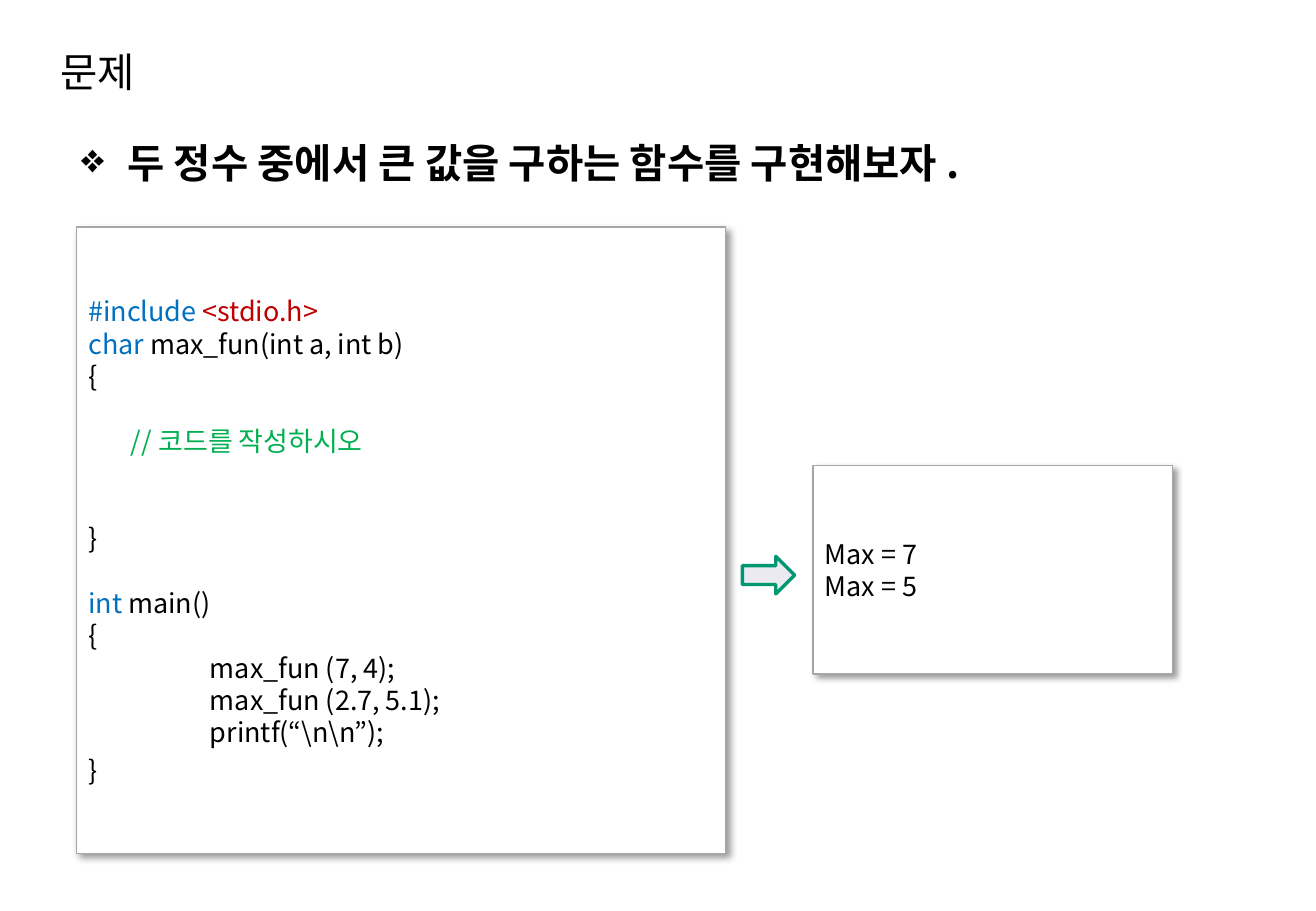
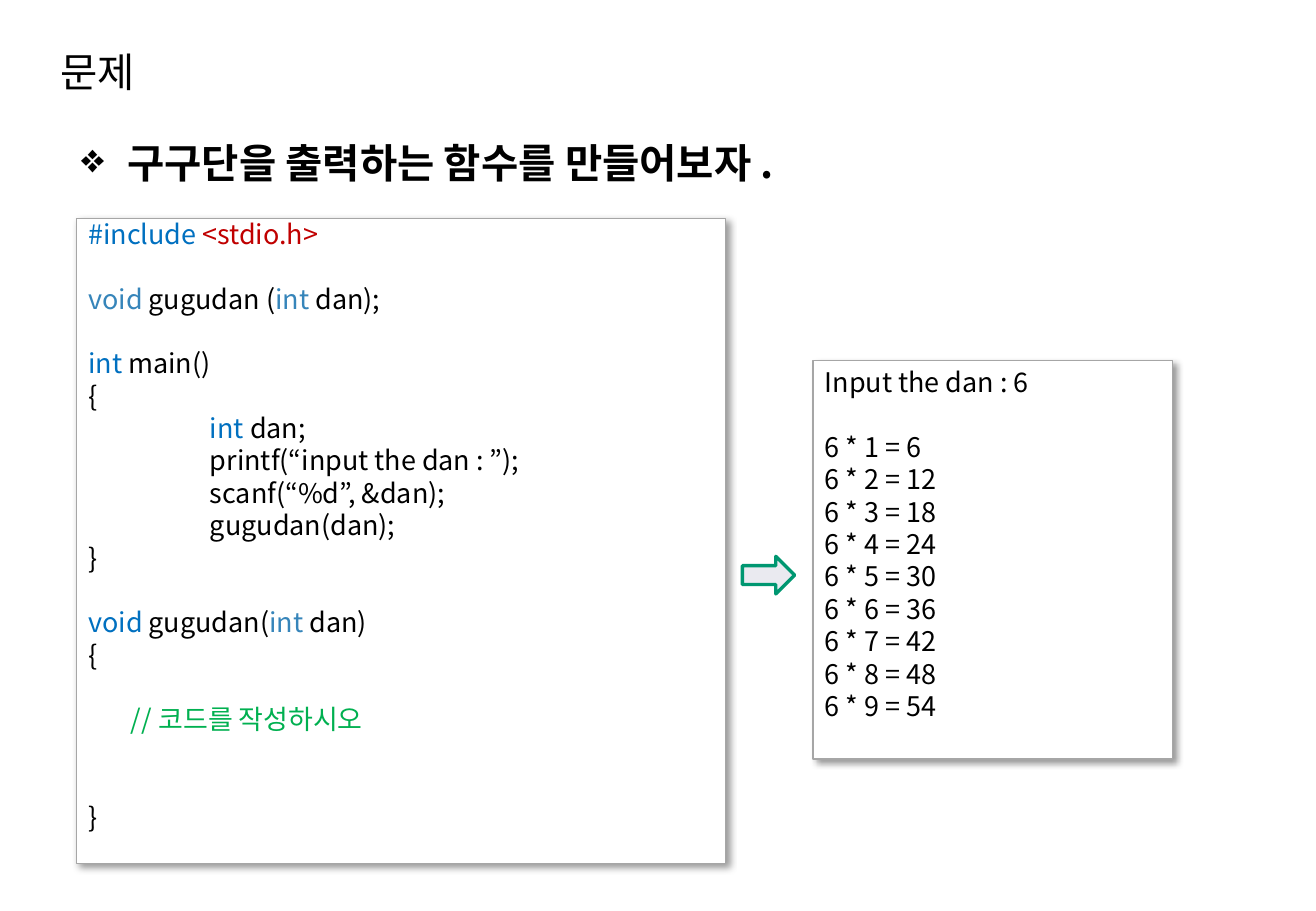
from dataclasses import dataclass
from lxml import etree
from pptx import Presentation, util as u
from pptx.dml.color import RGBColor
from pptx.enum import shapes, text
from pptx.oxml.ns import qn


@dataclass(frozen=True)
class Theme:
    font: str = "Noto Sans CJK KR"
    heading_pt: float = 24
    code_pt: float = 16
    pitch_pt: float = 19.2
    black: str = "000000"
    keyword: str = "0070C0"
    type_name: str = "3685BA"
    header: str = "C00000"
    comment: str = "00B050"
    paper: str = "FFFFFF"
    border: str = "A6A6A6"
    arrow: str = "009771"
    arrow_fill: str = "17175C"


T = Theme()
W, H = 10.83, 7.5
TITLE = "문제"
BULLET = "❖"
CODE_LEFT, CODE_WIDTH = 0.63, 5.34
RESULT_LEFT, RESULT_WIDTH = 6.69, 2.96
INDENT = {"\t": 1.0, ">": 0.35}

INCLUDE = [("#include ", T.keyword), ("<stdio.h>", T.header)]
MAIN = [("int", T.keyword), (" main()", T.black)]
TODO = [(">//코드를 작성하시오", T.comment)]

PROBLEMS = [
    {
        "heading": "두 정수 중에서 큰 값을 구하는 함수를 구현해보자.",
        "code_box": (1.87, 5.16),
        "code": [
            INCLUDE,
            [("char ", T.keyword), ("max_fun(int a, int b)", T.black)],
            "{", "", TODO, "", "", "}", "",
            MAIN,
            "{", "\tmax_fun (7, 4);", "\tmax_fun (2.7, 5.1);", "\tprintf(“\\n\\n”);", "}",
        ],
        "last_gap": 0.2 * T.code_pt,
        "result_box": (3.83, 1.72),
        "result": ["Max = 7", "Max = 5"],
    },
    {
        "heading": "구구단을 출력하는 함수를 만들어보자.",
        "code_box": (1.8, 5.31),
        "code": [
            INCLUDE, "",
            [("void ", T.type_name), ("gugudan (", T.black), ("int ", T.type_name), ("dan);", T.black)],
            "", MAIN, "{",
            [("\tint ", T.keyword), ("dan;", T.black)],
            "\tprintf(“input the dan : ”);", "\tscanf(“%d”, &dan);", "\tgugudan(dan);", "}", "",
            [("void ", T.keyword), ("gugudan(", T.black), ("int ", T.type_name), ("dan)", T.black)],
            "{", "", TODO, "", "", "}", "",
        ],
        "last_gap": 0,
        "result_box": (2.97, 3.28),
        "result": ["Input the dan : 6", ""] + [f"6 * {n} = {6 * n}" for n in range(1, 10)] + [""],
    },
]


def inches(*values):
    return [u.Inches(v) for v in values]


def style(r, size, color=T.black, bold=False):
    r.font.size, r.font.bold, r.font.name = u.Pt(size), bold, T.font
    r.font.color.rgb = RGBColor.from_string(color)
    ea = etree.SubElement(r.font._element, qn("a:ea"))
    ea.set("typeface", T.font)


def add_alpha(fill, percent):
    clr = fill.find(".//" + qn("a:srgbClr"))
    etree.SubElement(clr, qn("a:alpha")).set("val", str(percent * 1000))


def add_shape(s, kind, box, fill, line, width):
    sp = s.shapes.add_shape(kind, *inches(*box))
    sp.shadow.inherit = False
    sp.fill.solid()
    sp.fill.fore_color.rgb = RGBColor.from_string(fill)
    sp.line.color.rgb = RGBColor.from_string(line)
    sp.line.width = u.Pt(width)
    return sp


def add_shadow(sp):
    effects = sp._element.spPr.find(qn("a:effectLst"))
    shadow = etree.SubElement(effects, qn("a:outerShdw"), blurRad=str(u.Pt(4)),
                              dist=str(u.Pt(3)), dir=str(45 * 60000), algn="tl", rotWithShape="0")
    etree.SubElement(shadow, qn("a:srgbClr"), val=T.black)
    add_alpha(shadow, 40)


def add_heading(s, content, box, bold=False, bullet=None):
    tf = s.shapes.add_textbox(*inches(*box)).text_frame
    tf.word_wrap = True
    tf.vertical_anchor = text.MSO_ANCHOR.MIDDLE
    tf.text = content
    p = tf.paragraphs[0]
    style(p.runs[0], T.heading_pt, bold=bold)
    if bullet:
        pPr = p._p.get_or_add_pPr()
        pPr.set("marL", str(u.Inches(0.38)))
        pPr.set("indent", str(-u.Inches(0.38)))
        etree.SubElement(pPr, qn("a:buChar")).set("char", bullet)


def add_listing(s, box, lines, last_gap=0):
    sp = add_shape(s, shapes.MSO_SHAPE.RECTANGLE, box, T.paper, T.border, 0.75)
    add_shadow(sp)
    tf = sp.text_frame
    tf.word_wrap = True
    tf.vertical_anchor = text.MSO_ANCHOR.MIDDLE
    tf.margin_top = 0
    filled = [i for i, line in enumerate(lines) if line]
    tf.margin_bottom = u.Pt((len(lines) - 1 - filled[-1]) * T.pitch_pt)
    for n, i in enumerate(filled):
        p = tf.paragraphs[0] if n == 0 else tf.add_paragraph()
        p.alignment = text.PP_ALIGN.LEFT
        p.line_spacing = u.Pt(T.pitch_pt)
        skipped = i - filled[n - 1] - 1 if n else 0
        p.space_before = u.Pt(skipped * T.pitch_pt + (last_gap if i == filled[-1] else 0))
        runs = [(lines[i], T.black)] if isinstance(lines[i], str) else lines[i]
        indent = INDENT.get(runs[0][0][0], 0)
        p._p.get_or_add_pPr().set("marL", str(u.Inches(indent)))
        for content, color in runs:
            r = p.add_run()
            r.text = content.lstrip("\t>") if indent else content
            style(r, T.code_pt, color)


def add_arrow(s):
    sp = add_shape(s, shapes.MSO_SHAPE.RIGHT_ARROW, (6.11, 4.58, 0.43, 0.31), T.arrow_fill, T.arrow, 2)
    add_alpha(sp._element.spPr.find(qn("a:solidFill")), 9)


def main():
    prs = Presentation()
    prs.slide_width, prs.slide_height = inches(W, H)
    for problem in PROBLEMS:
        s = prs.slides.add_slide(prs.slide_layouts[6])
        add_heading(s, TITLE, (0.4, 0.32, 6.26, 0.54))
        code_top, code_height = problem["code_box"]
        add_listing(s, (CODE_LEFT, code_top, CODE_WIDTH, code_height), problem["code"], problem["last_gap"])
        result_top, result_height = problem["result_box"]
        add_listing(s, (RESULT_LEFT, result_top, RESULT_WIDTH, result_height), problem["result"])
        add_arrow(s)
        add_heading(s, problem["heading"], (0.57, 1.09, 8.09, 0.5), True, BULLET)
    prs.save("out.pptx")


if __name__ == "__main__":
    main()
